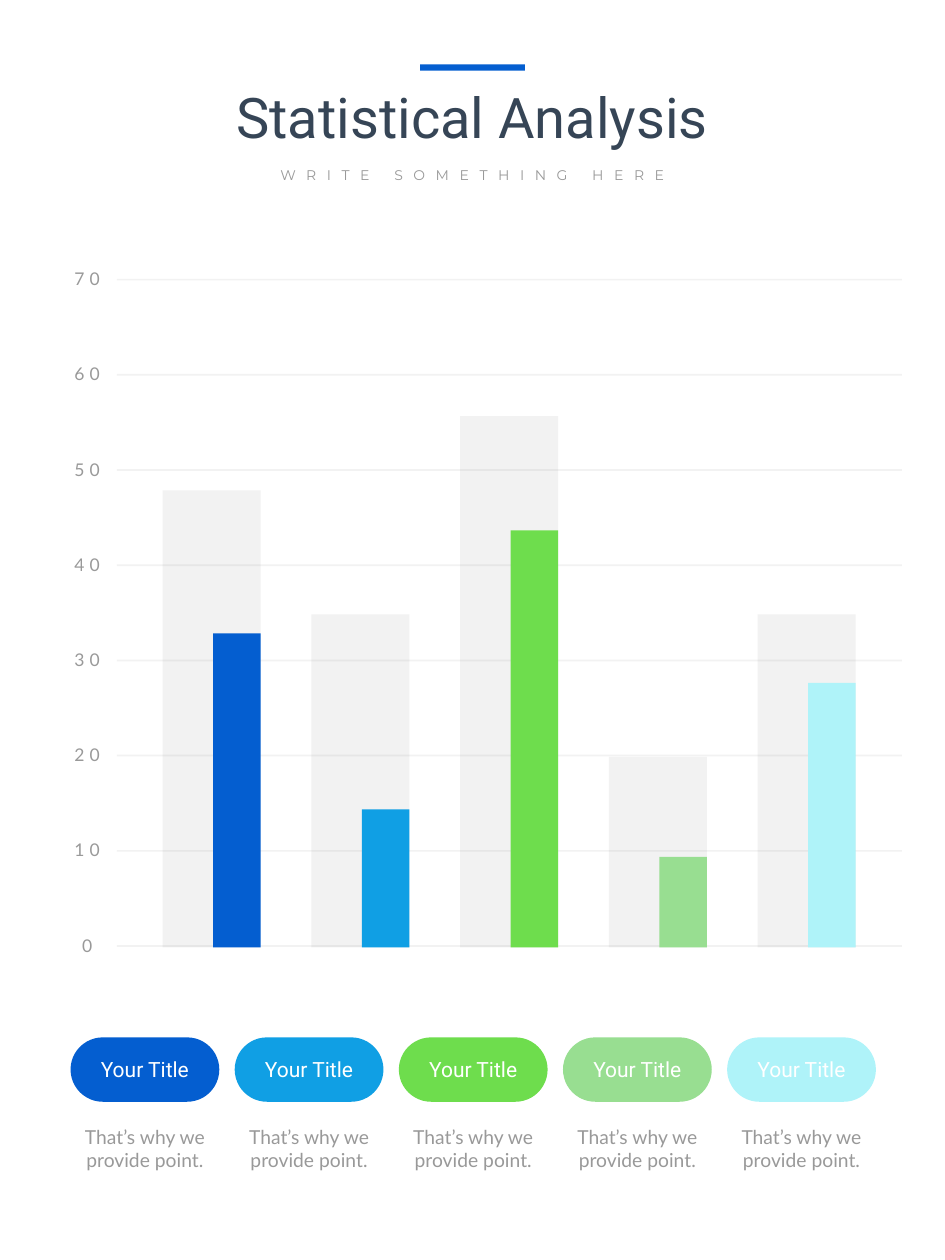
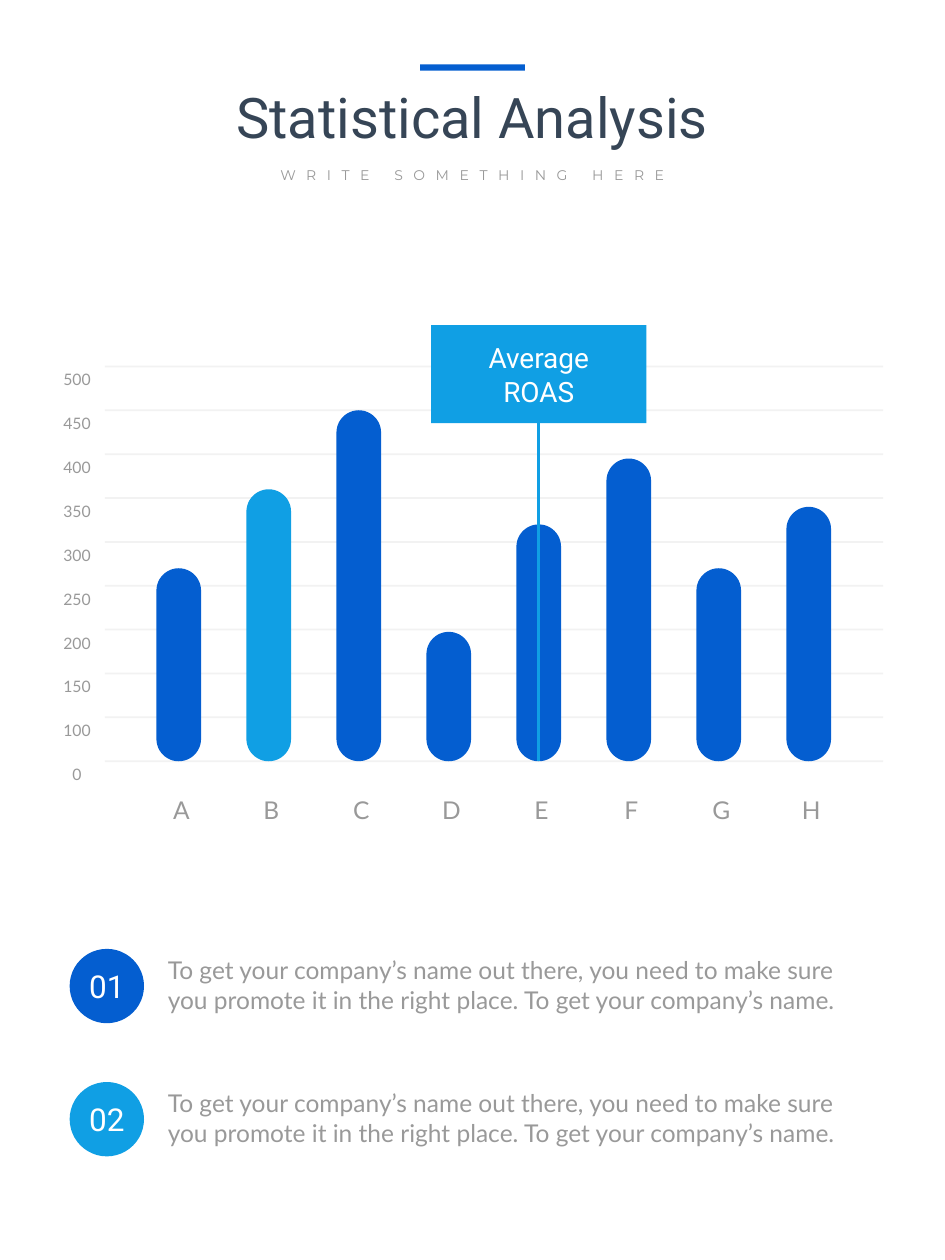
from lxml import etree
from pptx import Presentation
from pptx import util as u
from pptx.dml.color import RGBColor
from pptx.enum import shapes, text
from pptx.oxml import ns

BLUE, SKY, GREEN, SAGE, AQUA = "045ED0", "109FE4", "6EDD4D", "98DE91", "AFF3F9"
PALETTE = [BLUE, SKY, GREEN, SAGE, AQUA]
NAVY, GREY, SHADE, WHITE = "364556", "999999", "808080", "FFFFFF"
SHADE_ALPHA = 10
CENTER, LEFT = text.PP_ALIGN.CENTER, text.PP_ALIGN.LEFT
RECT = shapes.MSO_SHAPE.RECTANGLE
ROUND = shapes.MSO_SHAPE.ROUNDED_RECTANGLE
OVAL = shapes.MSO_SHAPE.OVAL


def color(hex_string):
    return RGBColor.from_string(hex_string)


def set_alpha(fill_parent, percent):
    for color_element in fill_parent.iter(ns.qn("a:srgbClr")):
        alpha = etree.SubElement(color_element, ns.qn("a:alpha"))
        alpha.set("val", str(percent * 1000))


def write(shape, words, size, font, hex_string, align=CENTER, spacing=0, margins=(0, 0)):
    frame = shape.text_frame
    frame.text = words
    frame.word_wrap = True
    frame.vertical_anchor = text.MSO_ANCHOR.MIDDLE
    frame.margin_left = frame.margin_right = u.Pt(margins[0])
    frame.margin_top = frame.margin_bottom = u.Pt(margins[1])
    paragraph = frame.paragraphs[0]
    paragraph.alignment = align
    for run in paragraph.runs:
        run.font.size = u.Pt(size)
        run.font.name = font
        run.font.color.rgb = color(hex_string)
        if spacing:
            run._r.get_or_add_rPr().set("spc", str(spacing * 100))


def add_label(slide, box, words, size, font, hex_string, **options):
    label = slide.shapes.add_textbox(*map(u.Pt, box))
    write(label, words, size, font, hex_string, **options)


def add_block(slide, kind, box, hex_string, alpha=None):
    block = slide.shapes.add_shape(kind, *map(u.Pt, box))
    block.shadow.inherit = False
    block.fill.solid()
    block.fill.fore_color.rgb = color(hex_string)
    block.line.fill.background()
    if kind == ROUND:
        block.adjustments[0] = 0.5
    if alpha:
        set_alpha(block._element.spPr, alpha)
    return block


def add_line(slide, start, end, hex_string, width, alpha=None):
    line = slide.shapes.add_connector(
        shapes.MSO_CONNECTOR.STRAIGHT, *map(u.Pt, (*start, *end)))
    line.line.color.rgb = color(hex_string)
    line.line.width = u.Pt(width)
    properties = line._element.spPr
    if alpha:
        set_alpha(properties, alpha)
    etree.SubElement(properties, ns.qn("a:effectLst"))


def add_header(slide, box):
    left, top, width, height = box
    add_block(slide, RECT, (left + width / 2 - 30, top, 60, 3.6), BLUE)
    add_label(slide, (left, top + 6.5, width, 46), "Statistical Analysis", 32, "Roboto", NAVY)
    add_label(slide, (left, top + height - 17.5, width, 17.5), "WRITE SOMETHING HERE",
              8, "Montserrat", GREY, spacing=6)


def add_gridlines(slide, box, count):
    """Draw evenly spaced lines and return their heights, top to bottom."""
    left, top, width, height = box
    levels = [top + height * i / (count - 1) for i in range(count)]
    for y in levels:
        add_line(slide, (left, y), (left + width, y), SHADE, 1, SHADE_ALPHA)
    return levels


def add_paired_bars(slide, box, totals, values):
    left, top, width, height = box
    levels = add_gridlines(slide, box, 8)
    base, per_unit = top + height + 0.8, height / 70
    # Scale labels
    for y, number in zip(levels, range(70, -1, -10)):
        add_label(slide, (left - 40, y - 10.5, 46, 20), str(number),
                  10, "Lato", GREY, spacing=3)
    # Pale total bar with the coloured value bar in its right half
    for i, (total, value) in enumerate(zip(totals, values)):
        x = left + 26.2 + 85 * i
        for offset, bar_width, amount, fill, alpha in (
                (0, 56, total, SHADE, SHADE_ALPHA), (28.8, 27.2, value, PALETTE[i], None)):
            bar_height = amount * per_unit
            add_block(slide, RECT, (x + offset, base - bar_height, bar_width, bar_height),
                      fill, alpha)


def add_legend(slide, box):
    left, top, width, height = box
    item_width = 85
    pitch = (width - item_width) / (len(PALETTE) - 1)
    for i, fill in enumerate(PALETTE):
        x = left + pitch * i
        pill = add_block(slide, ROUND, (x, top, item_width, 36.8), fill)
        write(pill, "Your Title", 12, "Roboto", WHITE)
        add_label(slide, (x, top + height - 34, item_width, 34),
                  "That’s why we provide point.", 11, "Lato", GREY, margins=(7.2, 3.6))


def add_rounded_bars(slide, box, steps, highlighted):
    left, top, width, height = box
    levels = add_gridlines(slide, box, 10)
    base, step_height = top + height, height / 9
    bar_width, pitch = 25.5, 51.43
    # Scale labels
    for y, number in zip(levels, [*range(500, 99, -50), 0]):
        add_label(slide, (left - 36, y - 2.5, 40, 20), str(number), 9, "Lato", GREY)
    # Bars, measured in grid steps
    for i, (letter, amount) in enumerate(zip("ABCDEFGH", steps)):
        x = left + 29.4 + pitch * i
        bar_height = amount * step_height
        add_block(slide, ROUND, (x, base - bar_height, bar_width, bar_height),
                  SKY if letter == highlighted else BLUE)
        add_label(slide, (x + 1.5, base + 15.5, bar_width, 24), letter, 14, "Lato", GREY)
    # Callout above bar E
    center = left + 29.4 + pitch * 4 + bar_width / 2
    callout_top, callout_width, callout_height = top - 23.6, 123, 56
    add_line(slide, (center, base), (center, callout_top + callout_height), SKY, 2)
    callout = add_block(slide, RECT, (center - callout_width / 2, callout_top,
                                      callout_width, callout_height), SKY)
    write(callout, "Average ROAS", 16, "Roboto", WHITE, margins=(20, 3.6))


def add_numbered_point(slide, box, number, fill):
    left, top, width, height = box
    badge = add_block(slide, OVAL, (left, top, height, height), fill)
    write(badge, number, 18, "Roboto", WHITE)
    add_label(slide, (left + 49, top, width - 49, height - 1.5),
              "To get your company’s name out there, you need to make sure "
              "you promote it in the right place. To get your company’s name.",
              14, "Lato", GREY, align=LEFT, margins=(7.2, 3.6))


def add_page(presentation):
    slide = presentation.slides.add_slide(presentation.slide_layouts[6])
    add_header(slide, (114, 36.8, 312, 72))
    return slide


def main():
    presentation = Presentation()
    presentation.slide_width, presentation.slide_height = u.Pt(540), u.Pt(720)

    # Paired bars with a legend
    slide = add_page(presentation)
    add_paired_bars(slide, (66.8, 159.8, 448.6, 380.8),
                    totals=[48, 35, 55.8, 20, 35], values=[33, 14.5, 43.8, 9.5, 27.8])
    add_legend(slide, (40.3, 592.8, 460.2, 80.5))

    # Rounded bars with two numbered points
    slide = add_page(presentation)
    add_rounded_bars(slide, (60, 209.4, 444.6, 225.6),
                     steps=[4.4, 6.2, 8, 2.95, 5.4, 6.9, 4.4, 5.8], highlighted="B")
    for i, fill in enumerate((BLUE, SKY)):
        add_numbered_point(slide, (39.8, 542.2 + 76.1 * i, 454, 42.5), f"{i + 1:02}", fill)

    presentation.save("out.pptx")


if __name__ == "__main__":
    main()
